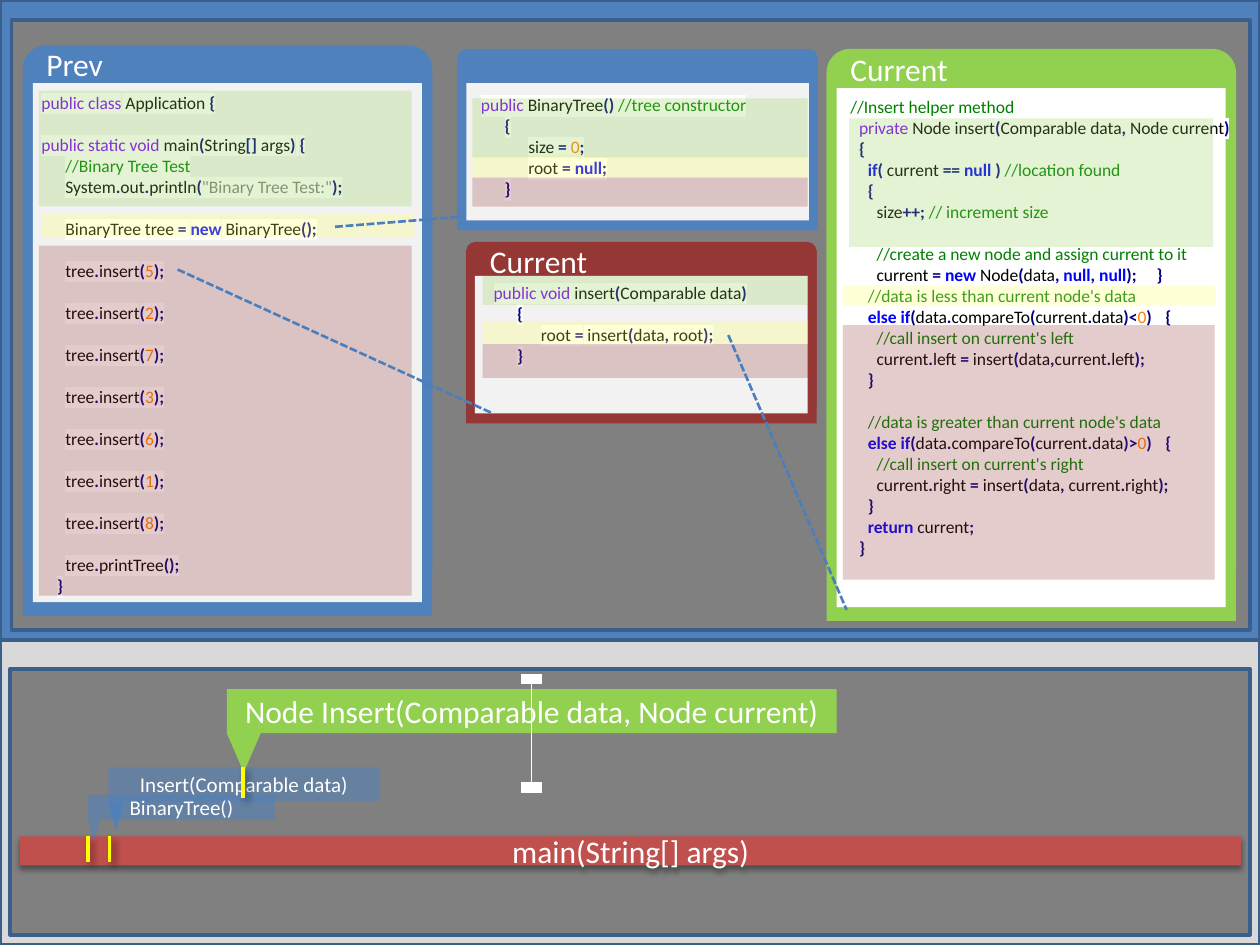
from dataclasses import dataclass
from itertools import groupby
from typing import NamedTuple

from lxml.etree import SubElement
from pptx import Presentation
from pptx.dml.color import RGBColor
from pptx.enum.dml import MSO_LINE
from pptx.enum.shapes import MSO_CONNECTOR, MSO_SHAPE as Preset
from pptx.enum.text import MSO_ANCHOR, MSO_AUTO_SIZE, PP_ALIGN
from pptx.oxml.ns import qn
from pptx.util import Pt

BLUE, MAROON, LIME, GRAY, YELLOW = "4F81BD", "953735", "92D050", "808080", "FFFF66"
WHITE, PALE, BORDER = "FFFFFF", "F2F2F2", "3A5F8C"
PURPLE_WORDS = {"public", "private", "class", "static", "void"}
BLUE_WORDS = {"new", "null", "if", "else", "return"}
OPERATORS = "{}()[].,;=<>+"


class Shadow(NamedTuple):
    blur: float
    distance: float
    degrees: int
    opacity: int


class Box(NamedTuple):
    left: float
    top: float
    width: float
    height: float


class Band(NamedTuple):
    color: str
    box: Box


@dataclass
class Panel:
    frame: Box
    color: str
    inner_top: float
    inner_height: float
    inner_color: str
    title: str
    title_box: Box
    code: str
    code_box: Box
    stops: tuple[float, ...]
    bands: list[Band]


@dataclass
class Call:
    text: str
    box: Box
    pointer: Box
    color: str
    size: int
    opacity: int
    pointer_opacity: int


@dataclass
class Line:
    start: tuple[float, float]
    end: tuple[float, float]
    color: str
    width: float
    dashed: bool = False
    shadow: Shadow | None = None


deck = Presentation()
deck.slide_width, deck.slide_height = Pt(720), Pt(540)
page = deck.slides.add_slide(deck.slide_layouts[6])


def rgb(color: str) -> RGBColor:
    return RGBColor.from_string(color)


def set_effects(item, shadow: Shadow | None) -> None:
    effects = SubElement(item.element.spPr, qn("a:effectLst"))
    if shadow:
        outer = SubElement(effects, qn("a:outerShdw"), blurRad=str(Pt(shadow.blur)),
                           dist=str(Pt(shadow.distance)), dir=str(shadow.degrees * 60000),
                           algn="ctr", rotWithShape="0")
        black = SubElement(outer, qn("a:srgbClr"), val="000000")
        SubElement(black, qn("a:alpha"), val=str(shadow.opacity * 1000))


def add_span(para, text: str, color: str, size: int, bold: bool = False, highlight: str = "") -> None:
    span = para.add_run()
    span.text = text
    font = span.font
    font.size, font.bold, font.name = Pt(size), bold, "Calibri"
    font.color.rgb = rgb(color)
    if highlight:
        mark = SubElement(font.fill._xPr, qn("a:highlight"))
        SubElement(mark, qn("a:srgbClr"), val=highlight)
        font.fill._xPr.find(qn("a:solidFill")).addnext(mark)


def add_shape(box: Box, color: str, preset=Preset.RECTANGLE, border: str = "", opacity: int = 100,
              rotation: int = 0, text: str = "", size: int = 18, shadow: Shadow | None = None):
    shape = page.shapes.add_shape(preset, *map(Pt, box))
    shape.rotation = rotation
    shape.fill.solid()
    shape.fill.fore_color.rgb = rgb(color)
    if opacity < 100:
        tone = shape.element.spPr.find(qn("a:solidFill"))[0]
        SubElement(tone, qn("a:alpha"), val=str(opacity * 1000))
    if border:
        shape.line.color.rgb = rgb(border)
        shape.line.width = Pt(2)
    else:
        shape.line.fill.background()
    set_effects(shape, shadow)
    if text:
        shape.text_frame.vertical_anchor = MSO_ANCHOR.MIDDLE
        para = shape.text_frame.paragraphs[0]
        para.alignment = PP_ALIGN.CENTER
        add_span(para, text, WHITE, size)
    return shape


def add_line(line: Line) -> None:
    connector = page.shapes.add_connector(MSO_CONNECTOR.STRAIGHT, *map(Pt, line.start + line.end))
    connector.line.color.rgb = rgb(line.color)
    connector.line.width = Pt(line.width)
    if line.dashed:
        connector.line.dash_style = MSO_LINE.SQUARE_DOT
    set_effects(connector, line.shadow)


def add_text_frame(box: Box, wrap: bool):
    frame = page.shapes.add_textbox(*map(Pt, box)).text_frame
    frame.word_wrap = wrap
    frame.auto_size = MSO_AUTO_SIZE.SHAPE_TO_FIT_TEXT
    return frame


def word_style(word: str) -> tuple[str, bool]:
    if word[0] in OPERATORS:
        return "000080", True
    if word in BLUE_WORDS:
        return "0000FF", True
    return ("8000FF" if word in PURPLE_WORDS else "FF8000" if word.isdigit() else "000000"), False


def tokens(line: str) -> list[tuple[str, tuple[str, bool]]]:
    source, slashes, comment = line.partition("//")
    found = []
    for index, part in enumerate(source.split('"')):
        if index % 2:
            found.append((f'"{part}"', (GRAY, False)))
            continue
        for _, letters in groupby(part, lambda char: (char in OPERATORS, char.isspace())):
            word = "".join(letters)
            found.append((word, word_style(word)))
    return found + [(slashes + comment, ("008000", False))] * bool(slashes)


def add_code(panel: Panel) -> None:
    frame = add_text_frame(panel.code_box, True)
    para, gap = frame.paragraphs[0], 0
    for number, line in enumerate(panel.code.splitlines()):
        if not line:
            gap += 12
            continue
        para = frame.add_paragraph() if number else para
        para.space_before, gap = Pt(gap), 0
        stops = SubElement(para._p.get_or_add_pPr(), qn("a:tabLst"))
        for stop in panel.stops:
            SubElement(stops, qn("a:tab"), pos=str(Pt(stop)), algn="l")
        for (color, bold), group in groupby(tokens(line), lambda token: token[1]):
            add_span(para, "".join(word for word, _ in group), color, 10, bold, WHITE)


def add_panel(panel: Panel) -> None:
    left, top, width, height = panel.frame
    drop, margin = 0.043 * height, 0.025 * width
    cap = add_shape(Box(left, top, width, 0.91 * height), panel.color, Preset.ROUND_2_SAME_RECTANGLE)
    cap.adjustments[0], cap.adjustments[1] = 0.057, 0
    add_shape(Box(left, top + drop, width, height - drop), panel.color)
    add_shape(Box(left + margin, panel.inner_top, width - 2 * margin, panel.inner_height), panel.inner_color)
    if panel.title:
        add_span(add_text_frame(panel.title_box, False).paragraphs[0], panel.title, WHITE, 18)
    add_code(panel)
    for band in panel.bands:
        add_shape(band.box, band.color, opacity=25)


def add_call(call: Call) -> None:
    add_shape(call.pointer, call.color, Preset.ISOSCELES_TRIANGLE, opacity=call.pointer_opacity, rotation=180)
    add_shape(call.box, call.color, opacity=call.opacity, text=call.text, size=call.size)


INSERTS = "\n\n".join(f"\t\ttree.insert({value});" for value in (5, 2, 7, 3, 6, 1, 8))
MAIN_CODE = f"""public class Application {{

public static void main(String[] args) {{
\t\t//Binary Tree Test
\t\tSystem.out.println("Binary Tree Test:");

\t\tBinaryTree tree = new BinaryTree();

{INSERTS}

\t\ttree.printTree();
\t}}"""
CONSTRUCTOR_CODE = """public BinaryTree() //tree constructor
\t{
\t\tsize = 0;
\t\troot = null;
\t}"""
INSERT_CODE = "public void insert(Comparable data)\n\t{\n\t\troot = insert(data, root);\n\t}"
HELPER_CODE = """//Insert helper method
\tprivate Node insert(Comparable data, Node current)
\t{
\t\tif( current == null ) //location found
\t\t{
\t\t\tsize++; // increment size

\t\t\t//create a new node and assign current to it
\t\t\tcurrent = new Node(data, null, null);\t}
\t\t//data is less than current node's data
\t\telse if(data.compareTo(current.data)<0)\t\t{
\t\t\t//call insert on current's left
\t\t\tcurrent.left = insert(data,current.left);
\t\t}

\t\t//data is greater than current node's data
\t\telse if(data.compareTo(current.data)>0)\t\t{
\t\t\t//call insert on current's right
\t\t\tcurrent.right = insert(data, current.right);
\t\t}
\t\treturn current;
\t}"""

PANELS = [
    Panel(Box(13, 26, 234, 326), BLUE, 47.5, 296.6, PALE, "Prev", Box(19.4, 22.3, 46.8, 28.8),
          MAIN_CODE, Box(16.6, 49, 191, 298), (9, 13.7),
          [Band(YELLOW, Box(23.8, 122.4, 213, 13)), Band(LIME, Box(22.3, 51.8, 213, 66.2)),
           Band(MAROON, Box(22.3, 140.4, 213, 200))]),
    Panel(Box(261.4, 28, 206, 103.7), BLUE, 47.5, 78.5, PALE, "", Box(0, 0, 0, 0),
          CONSTRUCTOR_CODE, Box(267.8, 50.4, 216, 67.7), (13.5, 27),
          [Band(YELLOW, Box(270, 88.6, 191.5, 13)), Band(MAROON, Box(270, 101.5, 191.5, 16.6)),
           Band(LIME, Box(270, 56.2, 191.5, 33.8))]),
    Panel(Box(266.4, 138.2, 200.2, 103.7), MAROON, 157.7, 78.5, PALE, "Current", Box(272.9, 134.6, 70.6, 28.8),
          INSERT_CODE, Box(275, 157.7, 163.4, 55.4), (13.5, 27),
          [Band(YELLOW, Box(275.8, 183.6, 185.8, 13)), Band(MAROON, Box(275.8, 196.6, 185.8, 19.4)),
           Band(LIME, Box(275.8, 157.7, 185.8, 16.6))]),
    Panel(Box(472.3, 28, 234, 326.9), LIME, 50.4, 296.6, WHITE, "Current", Box(478.8, 25.2, 70.6, 28.8),
          HELPER_CODE, Box(478.8, 51.1, 231.8, 285.8), (5, 10, 15, 175, 180),
          [Band(YELLOW, Box(481.7, 163.4, 213, 11.5)), Band(MAROON, Box(481.7, 185.8, 212.4, 145.4)),
           Band(LIME, Box(485.3, 67.7, 208, 73.4))]),
]
DASHES = [((191.5, 129.6), (264.2, 123.8)), ((101.5, 154), (281.5, 236.2)), ((416.2, 191.5), (483.8, 348.5))]
CALLS = [
    Call("BinaryTree()", Box(50.4, 454.3, 106.6, 14.4), Box(50.4, 468.7, 6.5, 12.2), BLUE, 12, 57, 57),
    Call("Insert(Comparable data)", Box(62, 438.5, 154.8, 19.4), Box(62, 458, 8.6, 17.3), BLUE, 12, 53, 87),
    Call("Node Insert(Comparable data, Node current)", Box(129.6, 393.8, 348.5, 25.2),
         Box(129.6, 419, 19.4, 22.3), LIME, 18, 100, 100),
]
MARKS = [(50.4, 478, 492.5), (62.6, 478, 492.5), (139, 438.5, 455.8)]
SCALE_TOP, SCALE_BOTTOM, SCALE_X = 388, 450, 303.8

for area, color in [(Box(0, 365.8, 720, 174.2), "D9D9D9"), (Box(0, 0, 720, 365.8), BLUE),
                    (Box(5.8, 382.3, 708.5, 152), GRAY), (Box(6.5, 11.5, 707.8, 348.5), GRAY)]:
    add_shape(area, color, border=BORDER)
for panel in PANELS:
    add_panel(panel)
for start, end in DASHES:
    add_line(Line(start, end, "4B7EBC", 1.5, dashed=True))
add_shape(Box(11.5, 478, 697.7, 16.6), "C0504D", text="main(String[] args)", shadow=Shadow(3.1, 1.6, 90, 38))
for call in CALLS:
    add_call(call)
for x, top, bottom in MARKS:
    add_line(Line((x, top), (x, bottom), "FFFF00", 2.25, shadow=Shadow(4, 3, 45, 40)))
for y in (SCALE_TOP, SCALE_BOTTOM):
    add_line(Line((SCALE_X - 5.8, y), (SCALE_X + 5.8, y), WHITE, 6))
add_line(Line((SCALE_X, SCALE_TOP), (SCALE_X, SCALE_BOTTOM), WHITE, 1))

deck.save("out.pptx")
